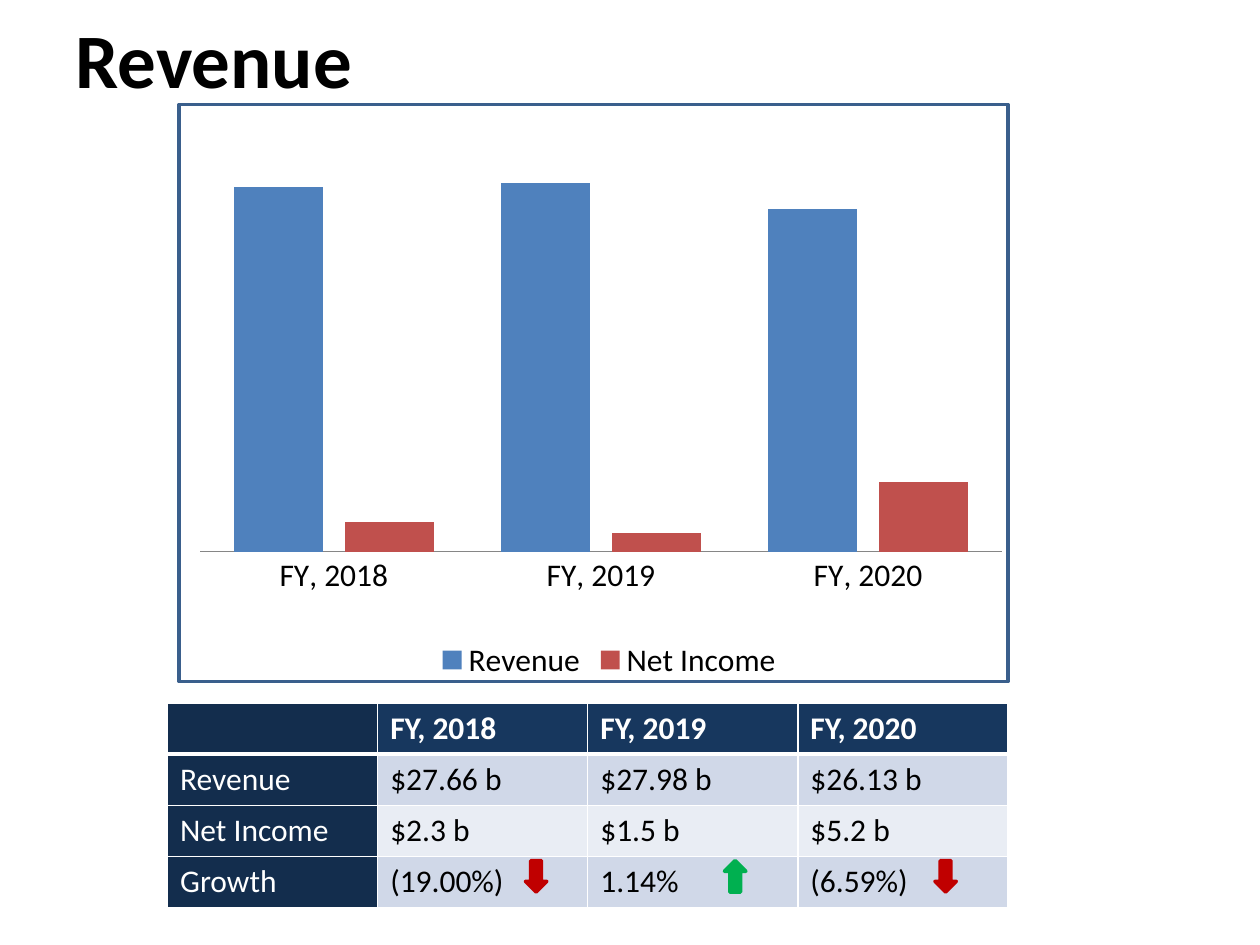
from pptx import Presentation
from pptx.chart.data import CategoryChartData
from pptx.dml.color import RGBColor
from pptx.enum.chart import XL_CHART_TYPE, XL_LEGEND_POSITION, XL_TICK_LABEL_POSITION, XL_TICK_MARK
from pptx.enum.shapes import MSO_SHAPE
from pptx.enum.text import MSO_ANCHOR, PP_ALIGN
from pptx.oxml import parse_xml
from pptx.oxml.ns import nsdecls
from pptx.util import Inches, Pt

COLUMNS = XL_CHART_TYPE.COLUMN_CLUSTERED
BOTTOM = XL_LEGEND_POSITION.BOTTOM
NO_TICK = XL_TICK_MARK.NONE
NO_LABELS = XL_TICK_LABEL_POSITION.NONE
RECT, UP, DOWN = MSO_SHAPE.RECTANGLE, MSO_SHAPE.UP_ARROW, MSO_SHAPE.DOWN_ARROW
MIDDLE, LEFT = MSO_ANCHOR.MIDDLE, PP_ALIGN.LEFT

BLACK = RGBColor(0x00, 0x00, 0x00)
WHITE = RGBColor(0xFF, 0xFF, 0xFF)
NAVY = RGBColor(0x17, 0x37, 0x5E)
DARK_NAVY = RGBColor(0x13, 0x2D, 0x4D)
BAND_1 = RGBColor(0xD0, 0xD8, 0xE8)
BAND_2 = RGBColor(0xE9, 0xED, 0xF4)
BLUE = RGBColor(0x4F, 0x81, 0xBD)
BRICK = RGBColor(0xC0, 0x50, 0x4D)
FRAME = RGBColor(0x3A, 0x5F, 0x8C)
AXIS = RGBColor(0x86, 0x86, 0x86)
RED = RGBColor(0xC0, 0x00, 0x00)
GREEN = RGBColor(0x00, 0xB0, 0x50)

YEARS = ["FY, 2018", "FY, 2019", "FY, 2020"]
# Chart values are relative to the highest revenue, which is 100.
SERIES = [("Revenue", [99, 100, 93], BLUE),
          ("Net Income", [8, 5, 19], BRICK)]
ROWS = [["", *YEARS],
        ["Revenue", "$27.66 b", "$27.98 b", "$26.13 b"],
        ["Net Income", "$2.3 b", "$1.5 b", "$5.2 b"],
        ["Growth", "(19.00%)", "1.14%", "(6.59%)"]]
ARROWS = [(4.17, DOWN, RED), (7.42, DOWN, RED), (5.75, UP, GREEN)]


def write(tf, text, size=18, color=BLACK, bold=False, font="Calibri", align=LEFT):
    p = tf.paragraphs[0]
    p.alignment = align
    r = p.add_run()
    r.text = text
    r.font.name, r.font.size, r.font.bold = font, Pt(size), bold
    r.font.color.rgb = color


def cell_style(row, col):
    """Return fill colour, text colour and boldness for a table position."""
    if col == 0:
        return DARK_NAVY, WHITE, row == 0
    if row == 0:
        return NAVY, WHITE, True
    return (BAND_1 if row % 2 else BAND_2), BLACK, False


def set_borders(cell, **widths):
    """Draw white borders; the keywords L, R, T, B give widths in points."""
    tc_pr = cell._tc.get_or_add_tcPr()
    for i, (side, width) in enumerate(widths.items()):
        tc_pr.insert(i, parse_xml(
            f'<a:ln{side} {nsdecls("a")} w="{Pt(width)}"><a:solidFill>'
            f'<a:srgbClr val="{WHITE}"/></a:solidFill></a:ln{side}>'))


class Deck:
    def __init__(self, width, height):
        self.prs = Presentation()
        self.prs.slide_width, self.prs.slide_height = Inches(width), Inches(height)
        self.s = None

    def add_slide(self, layout):
        self.s = self.prs.slides.add_slide(self.prs.slide_layouts[layout])

    def title(self, text, x, y, w, h):
        sp = self.s.shapes.title
        sp.left, sp.top, sp.width, sp.height = map(Inches, (x, y, w, h))
        sp.text_frame.vertical_anchor = MIDDLE
        write(sp.text_frame, text, size=44, bold=True)

    def shape(self, kind, x, y, w, h, line, fill=None):
        sp = self.s.shapes.add_shape(kind, *map(Inches, (x, y, w, h)))
        sp.shadow.inherit = False
        if fill is None:
            sp.fill.background()
        else:
            sp.fill.solid()
            sp.fill.fore_color.rgb = fill
        sp.line.color.rgb = line
        sp.line.width = Pt(2)

    def table(self, rows, x, y, w, h):
        table = self.s.shapes.add_table(len(rows), len(rows[0]),
                                        *map(Inches, (x, y, w, h))).table
        for i, row in enumerate(rows):
            for j, text in enumerate(row):
                cell = table.cell(i, j)
                fill, color, bold = cell_style(i, j)
                cell.fill.solid()
                cell.fill.fore_color.rgb = fill
                set_borders(cell, L=1, R=1, T=3 if i == 1 else 1, B=1 if i else 3)
                if text:
                    write(cell.text_frame, text, color=color, bold=bold)

    def column_chart(self, cats, series, x, y, w, h, top, plot_area):
        """Add columns; plot_area gives x, y, w, h in inches inside the chart."""
        data = CategoryChartData()
        data.categories = cats
        for name, vals, _ in series:
            data.add_series(name, vals)
        chart = self.s.shapes.add_chart(COLUMNS, *map(Inches, (x, y, w, h)), data).chart
        chart.has_title = False
        chart.font.name, chart.font.size = "Calibri", Pt(18)
        chart.font.color.rgb = BLACK
        chart.has_legend = True
        chart.legend.position = BOTTOM
        chart.legend.include_in_layout = False

        plot = chart.plots[0]
        plot.gap_width, plot.overlap, plot.vary_by_categories = 75, -25, False
        for ser, (_, _, color) in zip(plot.series, series):
            ser.format.fill.solid()
            ser.format.fill.fore_color.rgb = color

        chart.category_axis.major_tick_mark = NO_TICK
        chart.category_axis.format.line.color.rgb = AXIS
        axis = chart.value_axis
        axis.minimum_scale, axis.maximum_scale = 0, top
        axis.has_major_gridlines = False
        axis.major_tick_mark = NO_TICK
        axis.tick_label_position = NO_LABELS
        axis.visible = False

        sizes = "".join(f'<c:{tag} val="{part / whole}"/>'
                        for tag, part, whole in zip("xywh", plot_area, (w, h, w, h)))
        layout = parse_xml(
            f'<c:layout {nsdecls("c")}><c:manualLayout><c:layoutTarget val="inner"/>'
            f'<c:xMode val="edge"/><c:yMode val="edge"/>{sizes}'
            '</c:manualLayout></c:layout>')
        area = chart._chartSpace.chart.plotArea
        for old in area.findall(layout.tag):
            area.remove(old)
        area.insert(0, layout)


def main():
    deck = Deck(10, 7.5)
    deck.add_slide(5)
    deck.title("Revenue", 0.5, -0.17, 9, 1.25)
    deck.table(ROWS, 1.33, 5.58, 6.67, 1.62)
    for x, kind, color in ARROWS:
        deck.shape(kind, x, 6.83, 0.17, 0.25, line=color, fill=color)
    deck.shape(RECT, 1.42, 0.83, 6.58, 4.58, line=FRAME)
    deck.column_chart(YEARS, SERIES, 1.5, 1, 6.67, 4.44, top=107,
                      plot_area=(0.09, 0.25, 6.36, 3.13))
    deck.prs.save("out.pptx")


if __name__ == "__main__":
    main()
